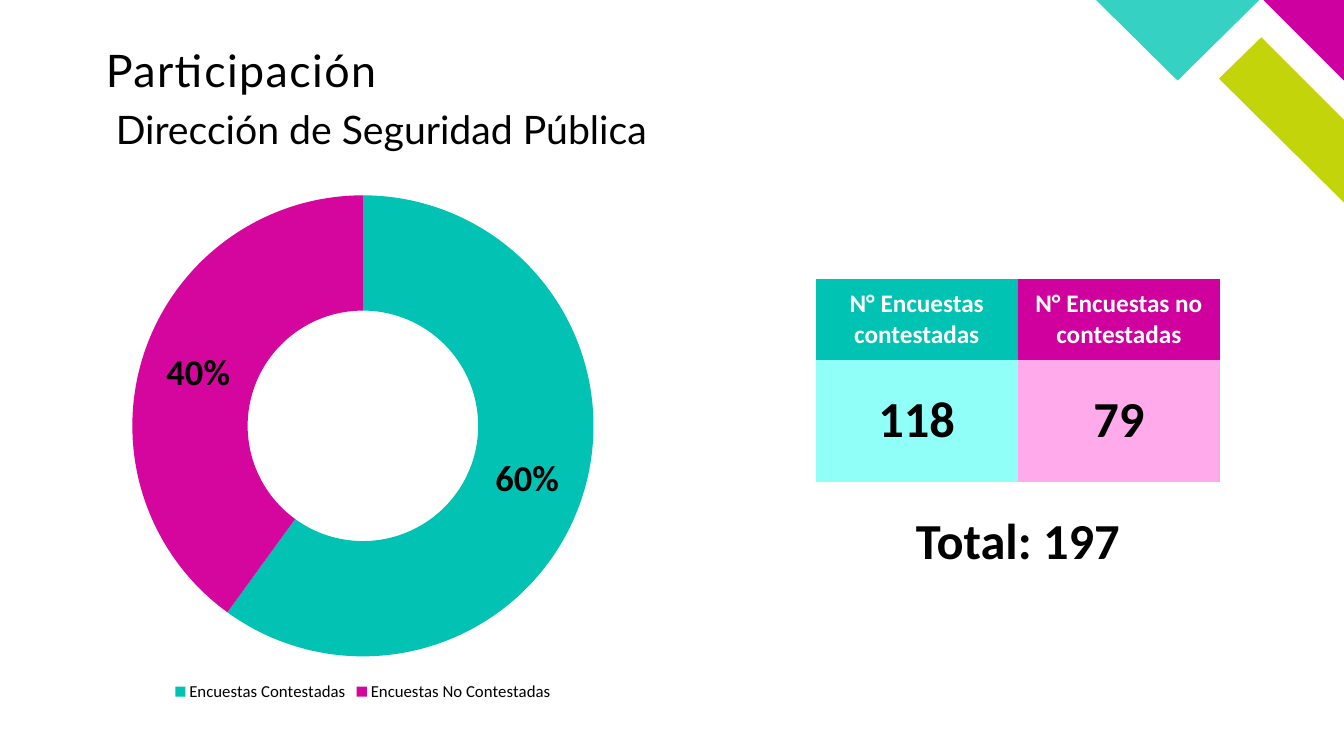
import pptx
import pptx.chart.data
import pptx.dml.color
import pptx.enum.chart
import pptx.enum.text
import pptx.util

Inches = pptx.util.Inches
Pt = pptx.util.Pt
ALIGN = pptx.enum.text.PP_ALIGN
ANCHOR = pptx.enum.text.MSO_ANCHOR

BLACK = "000000"
WHITE = "FFFFFF"

CORNER_SHAPES = [
    ("C4D40A", [(13.33, 2.01), (13.33, 1.19), (12.51, 0.37), (12.09, 0.78)]),
    ("CE009F", [(13.33, 0.8), (13.33, 0), (12.53, 0)]),
    ("35D2C4", [(10.87, 0), (11.68, 0.8), (12.49, 0)]),
]
# Header, header colour, count, count colour
SURVEY_COLUMNS = [
    ("N° Encuestas contestadas", "00C3B3", "118", "8FFFF7"),
    ("N° Encuestas no contestadas", "D0009E", "79", "FFABEB"),
]
SHARES = [
    ("Encuestas Contestadas", 0.6, "01C2B3"),
    ("Encuestas No Contestadas", 0.4, "D4069D"),
]
TABLE_LEFT, TABLE_TOP = 8.09, 2.77
COLUMN_WIDTH, HEADER_HEIGHT, COUNT_HEIGHT = 2.005, 0.8, 1.21


def rgb(hex_color):
    return pptx.dml.color.RGBColor.from_string(hex_color)


def paint(fill, hex_color):
    fill.solid()
    fill.fore_color.rgb = rgb(hex_color)


def style_font(font, name, size, hex_color, bold=False):
    font.name = name
    font.size = Pt(size)
    font.bold = bold
    font.color.rgb = rgb(hex_color)


def add_corner_shape(slide, hex_color, points):
    corners = [(Inches(x), Inches(y)) for x, y in points]
    builder = slide.shapes.build_freeform(*corners[0])
    builder.add_line_segments(corners[1:], close=True)
    shape = builder.convert_to_shape()
    shape.shadow.inherit = False
    paint(shape.fill, hex_color)
    shape.line.fill.background()


def add_text(slide, text, box, font_name, size, bold=False,
             align=ALIGN.LEFT, anchor=ANCHOR.TOP):
    frame = slide.shapes.add_textbox(*map(Inches, box)).text_frame
    frame.word_wrap = True
    frame.vertical_anchor = anchor
    frame.text = text
    paragraph = frame.paragraphs[0]
    paragraph.alignment = align
    paragraph.line_spacing = 0.9
    style_font(paragraph.runs[0].font, font_name, size, BLACK, bold)
    return frame


def add_title(slide, text):
    frame = add_text(slide, text, (1.05, 0.48, 5.61, 0.67), "Lato", 32)
    frame.margin_left = frame.margin_right = 0
    frame.margin_top = frame.margin_bottom = 0
    letter_spacing = "100"  # hundredths of a point
    frame.paragraphs[0].runs[0].font._element.set("spc", letter_spacing)


def add_figure(slide, text, left, top, width):
    add_text(slide, text, (left, top, width, COUNT_HEIGHT), "Calibri", 36,
             bold=True, align=ALIGN.CENTER, anchor=ANCHOR.MIDDLE)


def add_survey_table(slide):
    """Add the coloured table, with the large counts over its lower row."""
    table_width = COLUMN_WIDTH * len(SURVEY_COLUMNS)
    table = slide.shapes.add_table(
        2, len(SURVEY_COLUMNS), Inches(TABLE_LEFT), Inches(TABLE_TOP),
        Inches(table_width), Inches(HEADER_HEIGHT + COUNT_HEIGHT)).table
    table.horz_banding = False
    table.rows[0].height = Inches(HEADER_HEIGHT)
    table.rows[1].height = Inches(COUNT_HEIGHT)
    # Plain table style: no grid and no banding
    table._tbl.tblPr.find(pptx.oxml.ns.qn("a:tableStyleId")).text = (
        "{2D5ABB26-0587-4C30-8999-92F81FD0307C}")

    count_top = TABLE_TOP + HEADER_HEIGHT
    for index, (label, header_color, count, count_color) in enumerate(SURVEY_COLUMNS):
        table.columns[index].width = Inches(COLUMN_WIDTH)
        header = table.cell(0, index)
        paint(header.fill, header_color)
        header.vertical_anchor = ANCHOR.MIDDLE
        header.text_frame.text = label
        paragraph = header.text_frame.paragraphs[0]
        paragraph.alignment = ALIGN.CENTER
        style_font(paragraph.runs[0].font, "Calibri", 18, WHITE, True)

        paint(table.cell(1, index).fill, count_color)
        add_figure(slide, count, TABLE_LEFT + index * COLUMN_WIDTH,
                   count_top, COLUMN_WIDTH)
    add_figure(slide, "Total: 197", TABLE_LEFT, count_top + COUNT_HEIGHT, table_width)


def add_share_chart(slide):
    names, values, colors = zip(*SHARES)
    data = pptx.chart.data.CategoryChartData(number_format="0%")
    data.categories = names
    data.add_series("Series 1", values)
    chart = slide.shapes.add_chart(
        pptx.enum.chart.XL_CHART_TYPE.DOUGHNUT,
        Inches(1), Inches(1.8), Inches(5.2), Inches(5.2), data).chart
    chart.has_title = False
    style_font(chart.font, "Calibri", 18, WHITE)

    chart.has_legend = True
    chart.legend.position = pptx.enum.chart.XL_LEGEND_POSITION.BOTTOM
    chart.legend.include_in_layout = False
    style_font(chart.legend.font, "Calibri", 12, BLACK)

    plot = chart.plots[0]
    plot.vary_by_categories = True
    ring = plot.series[0]
    for index, color in enumerate(colors):
        point = ring.points[index]
        paint(point.format.fill, color)
        point.format.line.fill.background()

    labels = ring.data_labels
    labels.show_value = True
    labels.show_percentage = False
    labels.number_format = "0%"
    labels.number_format_is_linked = False
    style_font(labels.font, "Calibri", 26, BLACK, True)


def main():
    presentation = pptx.Presentation()
    presentation.slide_width = Inches(13.33)
    presentation.slide_height = Inches(7.5)
    slide = presentation.slides.add_slide(presentation.slide_layouts[6])
    for color, points in CORNER_SHAPES:
        add_corner_shape(slide, color, points)
    add_title(slide, "Participación")
    add_text(slide, "Dirección de Seguridad Pública", (1.05, 1.05, 9.78, 0.96), "Lato", 28)
    add_survey_table(slide)
    add_share_chart(slide)
    presentation.save("out.pptx")


if __name__ == "__main__":
    main()
